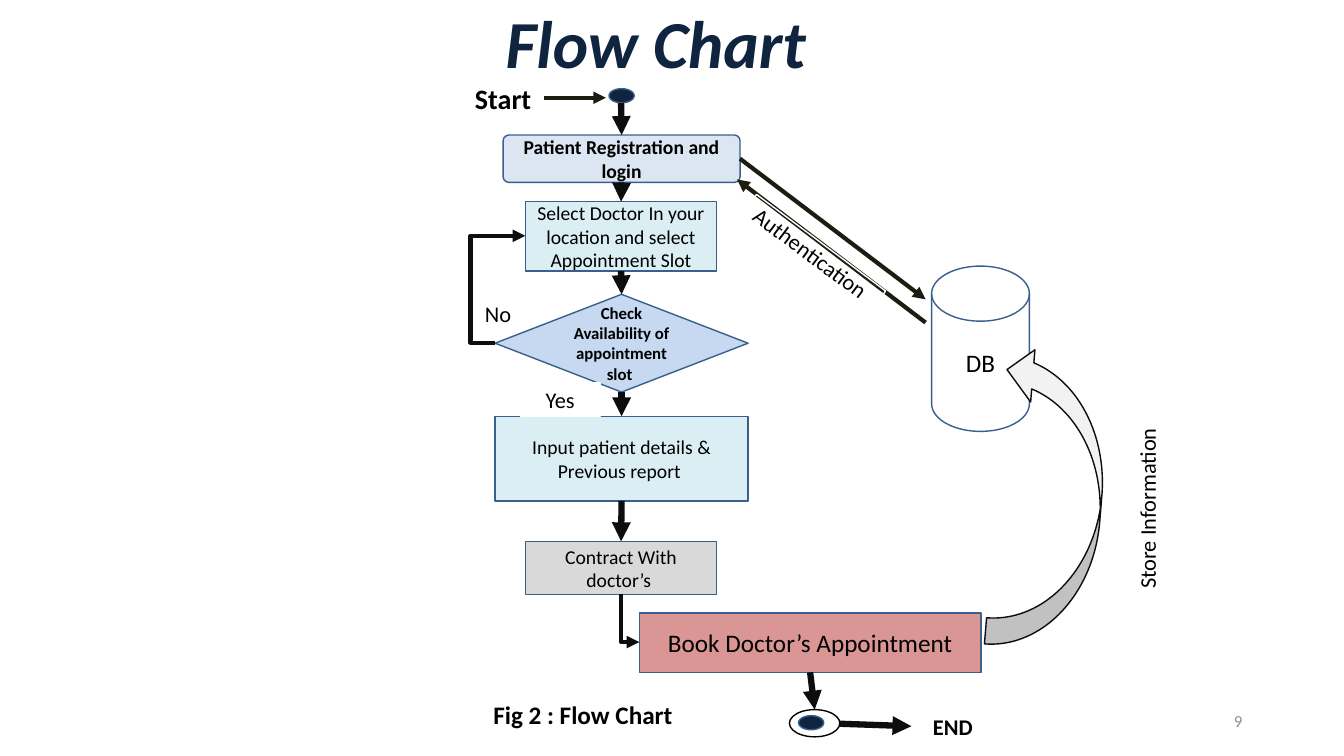
from lxml import etree
from pptx import Presentation
from pptx.dml.color import RGBColor
from pptx.enum.shapes import MSO_CONNECTOR, MSO_SHAPE
from pptx.enum.text import MSO_ANCHOR, PP_ALIGN
from pptx.oxml.ns import qn
from pptx.util import Inches, Pt

NAVY = RGBColor(0x0F, 0x24, 0x3E)
BLUE = RGBColor(0x3A, 0x5F, 0x8C)
PALE_BLUE = RGBColor(0xDC, 0xE6, 0xF2)
SKY = RGBColor(0xC6, 0xD9, 0xF1)
AQUA = RGBColor(0xDB, 0xEE, 0xF4)
ROSE = RGBColor(0xD9, 0x96, 0x94)
GRAY = RGBColor(0xD9, 0xD9, 0xD9)
LIGHT_GRAY = RGBColor(0xF2, 0xF2, 0xF2)
MID_GRAY = RGBColor(0x8C, 0x8C, 0x8C)
WHITE = RGBColor(0xFF, 0xFF, 0xFF)
BLACK = RGBColor(0x00, 0x00, 0x00)
INK = RGBColor(0x0D, 0x0D, 0x0D)
BROWN = RGBColor(0x1E, 0x1C, 0x11)

RECTANGLE = MSO_SHAPE.RECTANGLE
ROUNDED = MSO_SHAPE.ROUNDED_RECTANGLE
OVAL = MSO_SHAPE.OVAL
DECISION = MSO_SHAPE.FLOWCHART_DECISION
DISK = MSO_SHAPE.FLOWCHART_MAGNETIC_DISK
CURVED_ARROW = MSO_SHAPE.CURVED_UP_ARROW
STRAIGHT, ELBOW = MSO_CONNECTOR.STRAIGHT, MSO_CONNECTOR.ELBOW
CENTER, RIGHT_ALIGNED = PP_ALIGN.CENTER, PP_ALIGN.RIGHT
MIDDLE = MSO_ANCHOR.MIDDLE
TOP, LEFT, BOTTOM, RIGHT = range(4)


class FlowChart:
    font_name = "Calibri"

    def __init__(self, slide):
        self.slide = slide

    def set_text(self, shape, text, size, bold=False, italic=False, color=BLACK,
                 align=CENTER, line_spacing=None):
        frame = shape.text_frame
        frame.word_wrap = True
        frame.vertical_anchor = MIDDLE
        frame.text = text
        for paragraph in frame.paragraphs:
            paragraph.alignment = align
            paragraph.line_spacing = line_spacing
            font = paragraph.font
            font.name, font.size = self.font_name, Pt(size)
            font.bold, font.italic = bold, italic
            font.color.rgb = color

    def text(self, box, text, size, **style):
        shape = self.slide.shapes.add_textbox(*map(Inches, box))
        self.set_text(shape, text, size, **style)

    def shape(self, kind, box, fill=None, line=BLUE, text="", size=14,
              bold=False, rotation=0):
        shape = self.slide.shapes.add_shape(kind, *map(Inches, box))
        shape.shadow.inherit = False
        if fill is None:
            shape.fill.background()
        else:
            shape.fill.solid()
            shape.fill.fore_color.rgb = fill
        shape.line.color.rgb = line
        shape.line.width = Pt(1)
        shape.rotation = rotation
        if text:
            self.set_text(shape, text, size, bold)
        return shape

    def label(self, box, text, bold=False, rotation=0):
        return self.shape(RECTANGLE, box, None, WHITE, text, 16, bold, rotation)

    def arrow(self, start, end, width=4.5, color=INK, kind=STRAIGHT,
              source=None, target=None):
        """source and target are (shape, side) pairs to join."""
        connector = self.slide.shapes.add_connector(
            kind, *map(Inches, (*start, *end)))
        if source:
            connector.begin_connect(*source)
        if target:
            connector.end_connect(*target)
        connector.line.color.rgb = color
        connector.line.width = Pt(width)
        properties = connector._element.spPr
        etree.SubElement(properties.get_or_add_ln(), qn("a:tailEnd"),
                         type="triangle")
        etree.SubElement(properties, qn("a:effectLst"))
        return connector


def main():
    presentation = Presentation()
    presentation.slide_width = Inches(13.33)
    presentation.slide_height = Inches(7.5)
    chart = FlowChart(presentation.slides.add_slide(presentation.slide_layouts[6]))

    chart.text((0.83, -0.03, 11.5, 0.99), "Flow Chart ", 48, bold=True,
               italic=True, color=NAVY, line_spacing=0.9)
    chart.text((2.94, 6.7, 5.74, 0.78), "Fig 2 : Flow Chart ", 18, bold=True)
    chart.text((9.42, 6.95, 3, 0.4), "9", 12, color=MID_GRAY, align=RIGHT_ALIGNED)
    chart.text((4.28, 0.67, 1.42, 0.61), "Start", 20, bold=True)
    chart.text((4.53, 2.97, 0.82, 0.28), "No", 16)

    chart.shape(OVAL, (6.04, 0.88, 0.25, 0.14), NAVY)
    registration = chart.shape(ROUNDED, (4.99, 1.34, 2.35, 0.47), PALE_BLUE,
                               text="Patient Registration and login", bold=True)
    registration.adjustments[0] = 0.12
    selection = chart.shape(
        RECTANGLE, (5.21, 2, 1.9, 0.69), AQUA,
        text="Select Doctor In your location and select Appointment Slot")
    check = chart.shape(DECISION, (4.91, 2.92, 2.51, 0.97), SKY, size=12, bold=True,
                        text="Check Availability of appointment slot ")
    details = chart.shape(RECTANGLE, (4.91, 4.13, 2.51, 0.84), AQUA,
                          text="Input patient details &\nPrevious report ")
    contract = chart.shape(RECTANGLE, (5.21, 5.37, 1.9, 0.53), GRAY,
                           text="Contract With doctor’s ")
    booking = chart.shape(RECTANGLE, (6.34, 6.08, 3.39, 0.59), ROSE,
                          text="Book Doctor’s Appointment", size=18)
    chart.shape(DISK, (9.24, 2.64, 0.97, 1.64), WHITE, text="DB", size=18)
    chart.shape(OVAL, (7.92, 7.1, 0.25, 0.14), NAVY)
    chart.shape(OVAL, (7.83, 7.04, 0.5, 0.27), line=BLACK)

    chart.arrow((7.34, 1.57), (9.18, 2.97), 3, BROWN, source=(registration, RIGHT))
    chart.arrow((9.18, 3.2), (7.31, 1.78), 3, BROWN)
    chart.arrow((5.4, 0.97), (6.01, 0.97), 3, BROWN)

    chart.label((7.26, 2.38, 1.6, 0.28), "Authentication ", rotation=36.8)
    chart.label((5.16, 3.8, 0.79, 0.33), "Yes")
    end = chart.label((9.04, 7.03, 0.82, 0.35), "END", bold=True)
    chart.shape(CURVED_ARROW, (8.91, 4.42, 2.99, 1.04), LIGHT_GRAY, INK,
                rotation=274.7)
    chart.label((10.47, 4.87, 1.81, 0.35), "Store Information", rotation=270)

    chart.arrow((6.16, 1.02), (6.16, 1.34), target=(registration, TOP))
    steps = [registration, selection, check, details, contract]
    for upper, lower in zip(steps, steps[1:]):
        chart.arrow((0, 0), (0, 0), source=(upper, BOTTOM), target=(lower, TOP))
    chart.arrow((8.03, 6.67), (8.08, 7.04), source=(booking, BOTTOM))
    chart.arrow((8.33, 7.18), (9.04, 7.2), target=(end, LEFT))

    retry = chart.arrow((4.91, 3.4), (5.21, 2.34), 3, kind=ELBOW)
    adjustments = retry._element.spPr.prstGeom.get_or_add_avLst()
    etree.SubElement(adjustments, qn("a:gd"), name="adj1", fmla="val -81000")

    # A quarter turn makes the elbow leave downwards and arrive from the left.
    to_booking = chart.arrow((6.49, 6.04), (6.01, 6.22), 3, kind=ELBOW)
    properties = to_booking._element.spPr
    properties.prstGeom.set("prst", "bentConnector2")
    properties.xfrm.set("rot", str(270 * 60000))

    presentation.save("out.pptx")


if __name__ == "__main__":
    main()
